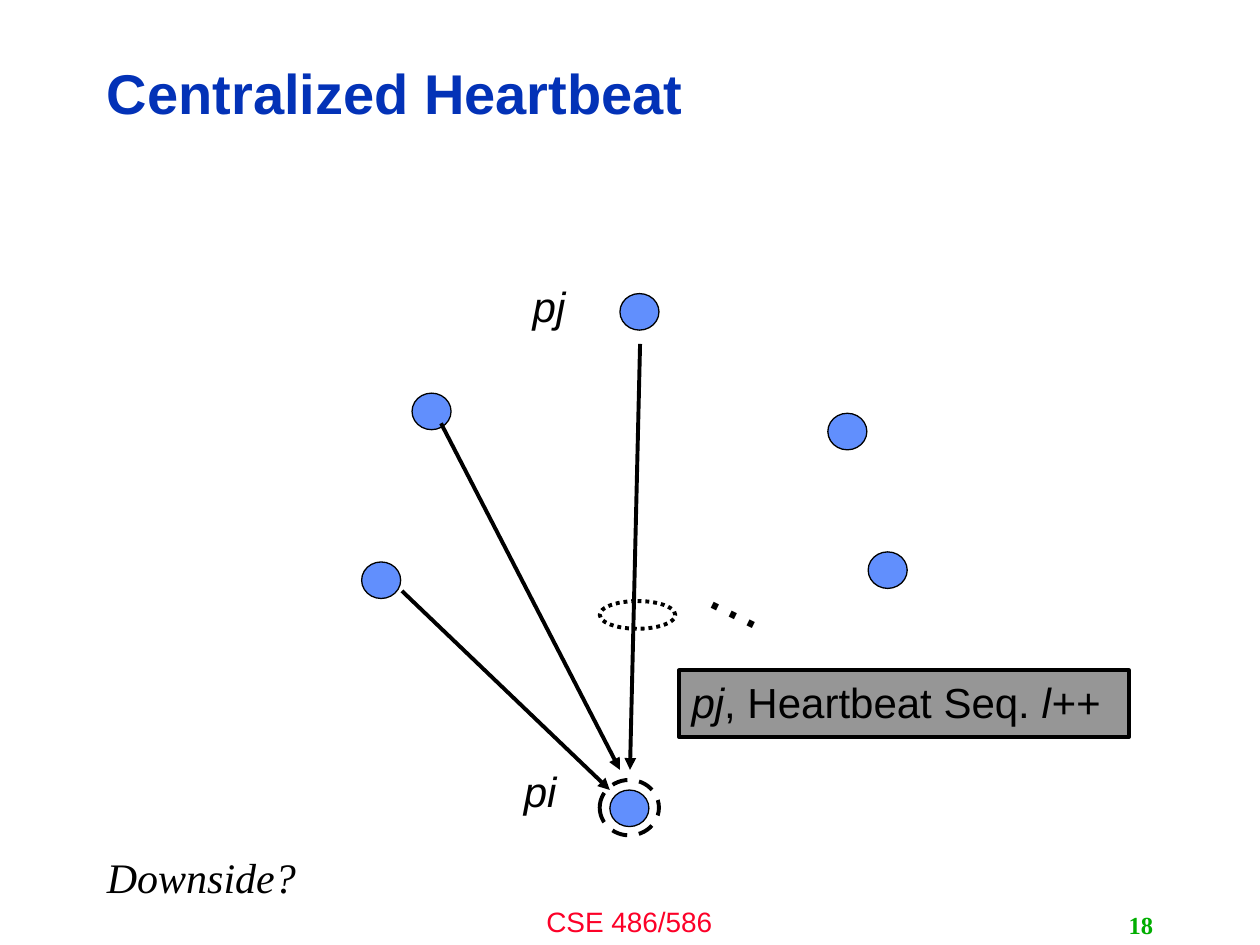
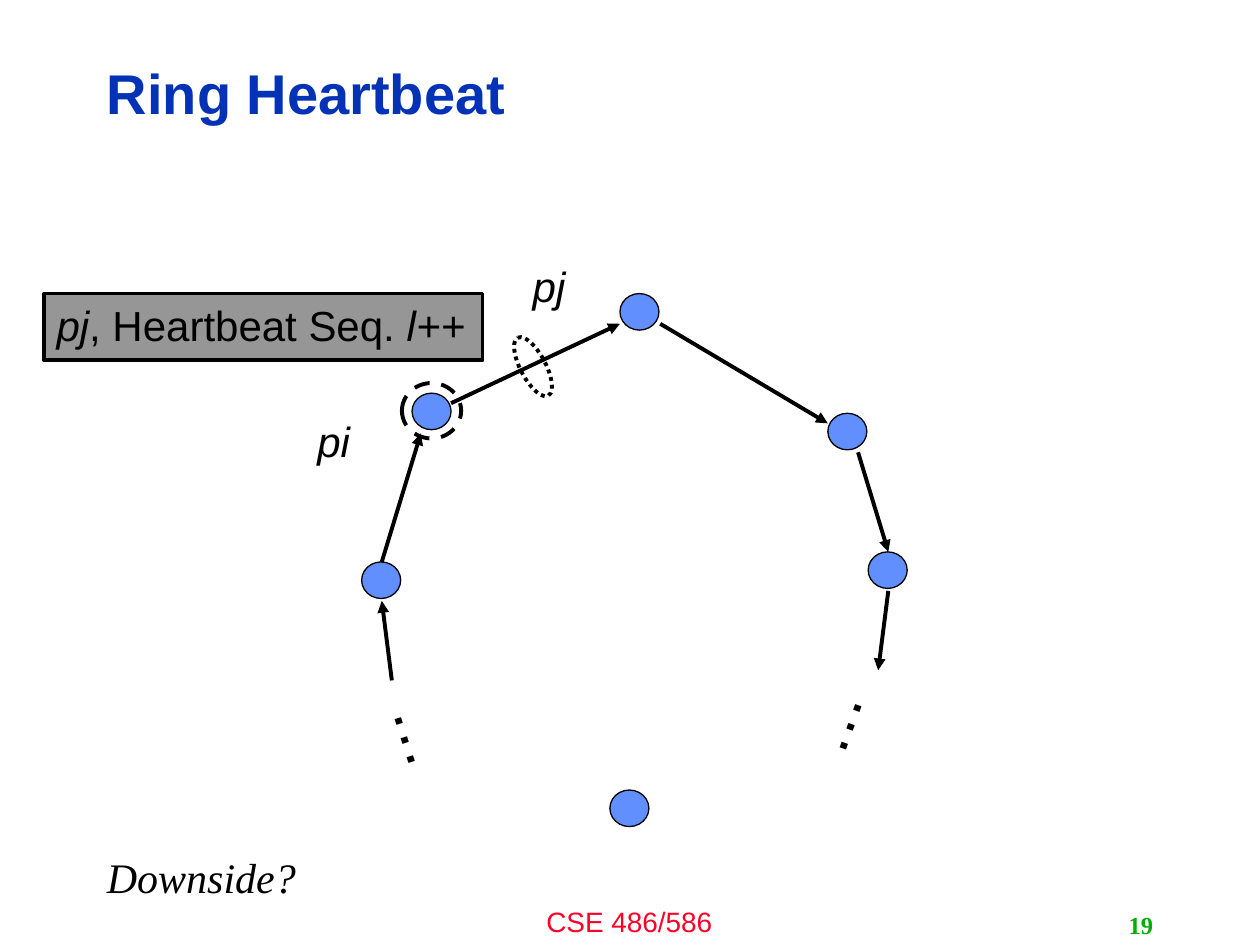
from lxml.etree import SubElement
from pptx import Presentation
from pptx.dml.color import RGBColor
from pptx.enum.dml import MSO_LINE
from pptx.enum.shapes import MSO_CONNECTOR, MSO_SHAPE
from pptx.enum.text import MSO_ANCHOR, MSO_AUTO_SIZE, PP_ALIGN
from pptx.oxml.ns import qn
from pptx.util import Inches, Pt

COLORS = {
    "title": "0332B7",
    "footer": "FC0128",
    "number": "00AE00",
    "node": "618FFD",
    "label": "969696",
    "ink": "000000",
}
RGB = {name: RGBColor.from_string(value) for name, value in COLORS.items()}

NODE_W, NODE_H = 0.31, 0.29
HALO_W, HALO_H = 0.47, 0.44
NODES = [(6.57, 3.28), (3.27, 3.12), (2.87, 4.46), (6.89, 4.38), (4.92, 2.33), (4.84, 6.27)]

SLIDES = [
    {
        "title": "Centralized Heartbeat",
        "number": "18",
        "arrows": [
            (3.19, 4.69, 4.84, 6.27),
            (3.5, 3.36, 4.92, 6.11),
            (5.08, 2.73, 5, 6.11),
        ],
        "dots": [(5.55, 4.38, 26.2)],
        "message": (5.39, 5.32, 3.57, "l++ "),
        "ring": (4.95, 4.58, 0.22, 0.6, 90),
        "halo": (4.76, 6.19),
        "names": [("pj", 4.13, 2.18), ("pi", 4.06, 6.03)],
    },
    {
        "title": "Ring Heartbeat",
        "number": "19",
        "arrows": [
            (3.03, 4.46, 3.34, 3.44),
            (3.58, 3.2, 4.92, 2.57),
            (5.24, 2.57, 6.57, 3.36),
            (3.11, 5.4, 3.03, 4.77),
            (6.81, 3.59, 7.05, 4.38),
            (7.05, 4.69, 6.97, 5.32),
        ],
        "dots": [(6.57, 5.48, 109.7), (3.03, 5.48, 72.5)],
        "message": (0.35, 2.33, 3.48, "l++"),
        "ring": (3.97, 2.81, 0.52, 0.2, 62.2),
        "halo": (3.19, 3.04),
        "names": [("pj", 4.13, 2.02), ("pi", 2.42, 3.25)],
    },
]

prs = Presentation()
prs.slide_width = Inches(10)
prs.slide_height = Inches(7.5)


def write(sp, runs, size, color="ink", font="Arial", bold=False,
          align=PP_ALIGN.LEFT, wrap=False, middle=False):
    tf = sp.text_frame
    tf.word_wrap = wrap
    tf.vertical_anchor = MSO_ANCHOR.MIDDLE if middle else MSO_ANCHOR.TOP
    p = tf.paragraphs[0]
    p.alignment = align
    if not middle:
        tf.auto_size = MSO_AUTO_SIZE.SHAPE_TO_FIT_TEXT
        before = SubElement(p._p.get_or_add_pPr(), qn("a:spcBef"))
        SubElement(before, qn("a:spcPct")).set("val", "50000")
    for text, italic in runs:
        r = p.add_run()
        r.text = text
        r.font.name = font
        r.font.size = Pt(size)
        r.font.bold = bold
        r.font.italic = italic
        r.font.color.rgb = RGB[color]
    return p


def add_shape(s, kind, x, y, w, h, fill=None, weight=2.25, dash=None):
    sp = s.shapes.add_shape(kind, Inches(x), Inches(y), Inches(w), Inches(h))
    sp.shadow.inherit = False
    if fill:
        sp.fill.solid()
        sp.fill.fore_color.rgb = RGB[fill]
    else:
        sp.fill.background()
    sp.line.color.rgb = RGB["ink"]
    sp.line.width = Pt(weight)
    if dash:
        sp.line.dash_style = dash
    return sp


for spec_row in SLIDES:
    s = prs.slides.add_slide(prs.slide_layouts[6])

    footer = s.shapes.add_textbox(Inches(3.33), Inches(7.13), Inches(3.33), Inches(0.37))
    write(footer, [("CSE 486/586", False)], 16, "footer", align=PP_ALIGN.CENTER, wrap=True)
    title = s.shapes.add_textbox(Inches(0.75), Inches(0.36), Inches(7.98), Inches(0.81))
    p = write(title, [(spec_row["title"], False)], 32, "title", bold=True, wrap=True, middle=True)
    p.line_spacing = 0.9
    number = s.shapes.add_textbox(Inches(7.17), Inches(7.18), Inches(2.08), Inches(0.32))
    write(number, [(spec_row["number"], False)], 14, "number", "Times New Roman", True,
          PP_ALIGN.RIGHT, wrap=True, middle=True)

    for x, y in NODES:
        add_shape(s, MSO_SHAPE.OVAL, x, y, NODE_W, NODE_H, "node", 0.75)

    for x1, y1, x2, y2 in spec_row["arrows"]:
        arrow = s.shapes.add_connector(
            MSO_CONNECTOR.STRAIGHT, Inches(x1), Inches(y1), Inches(x2), Inches(y2))
        arrow.line.color.rgb = RGB["ink"]
        arrow.line.width = Pt(2.25)
        SubElement(arrow.line._get_or_add_ln(), qn("a:tailEnd")).set("type", "triangle")
        SubElement(arrow._element.spPr, qn("a:effectLst"))

    for x, y, angle in spec_row["dots"]:
        dots = s.shapes.add_textbox(Inches(x), Inches(y), Inches(0.7), Inches(0.7))
        dots.rotation = angle
        write(dots, [("…", False)], 36)

    x, y, w, counter = spec_row["message"]
    message = add_shape(s, MSO_SHAPE.RECTANGLE, x, y, w, 0.53, "label")
    write(message, [("pj", True), (", Heartbeat Seq. ", False), (counter, True)], 24)

    x, y, w, h, angle = spec_row["ring"]
    ring = add_shape(s, MSO_SHAPE.OVAL, x, y, w, h, dash=MSO_LINE.ROUND_DOT)
    ring.rotation = angle
    x, y = spec_row["halo"]
    add_shape(s, MSO_SHAPE.OVAL, x, y, HALO_W, HALO_H, dash=MSO_LINE.DASH)

    for name, x, y in spec_row["names"]:
        label = s.shapes.add_textbox(Inches(x), Inches(y), Inches(0.46), Inches(0.5))
        write(label, [(name, True)], 24)

    question = s.shapes.add_textbox(Inches(0.75), Inches(6.71), Inches(1.7), Inches(0.5))
    write(question, [("Downside?", True)], 24, font="Times New Roman")

prs.save("out.pptx")
